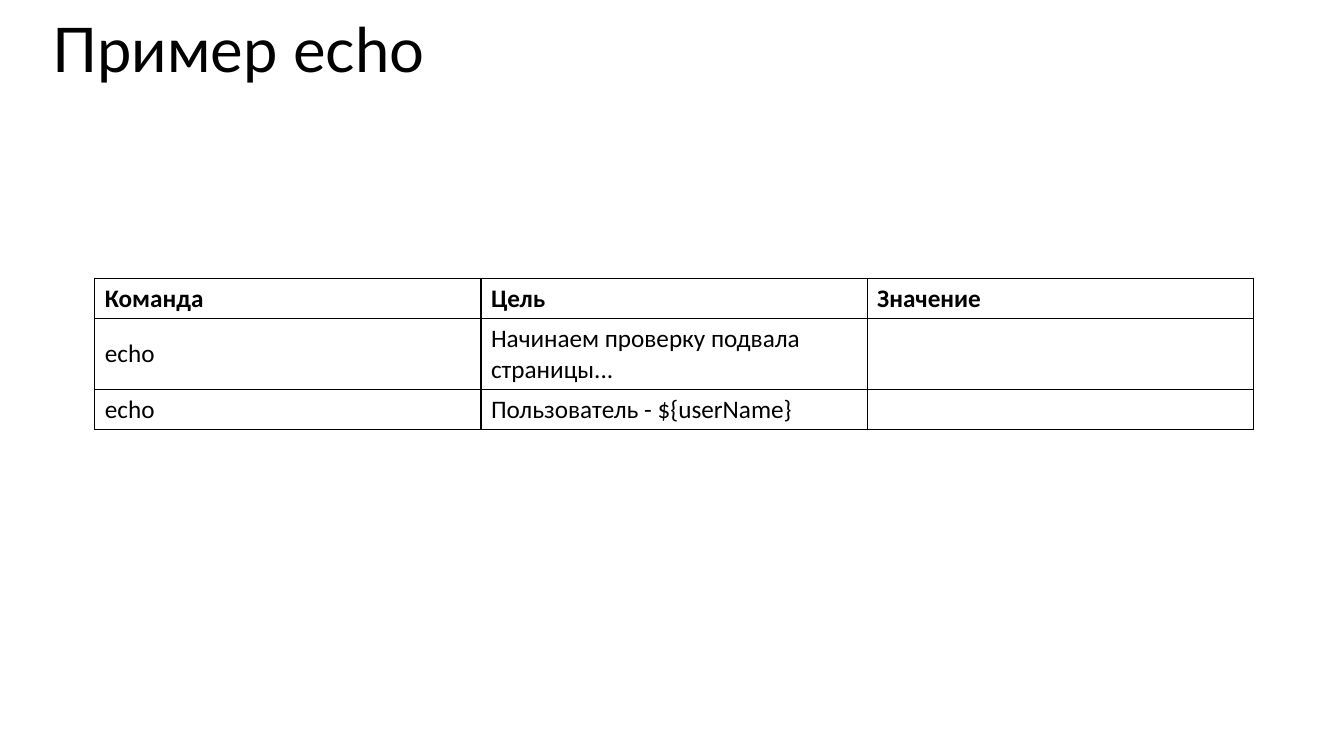
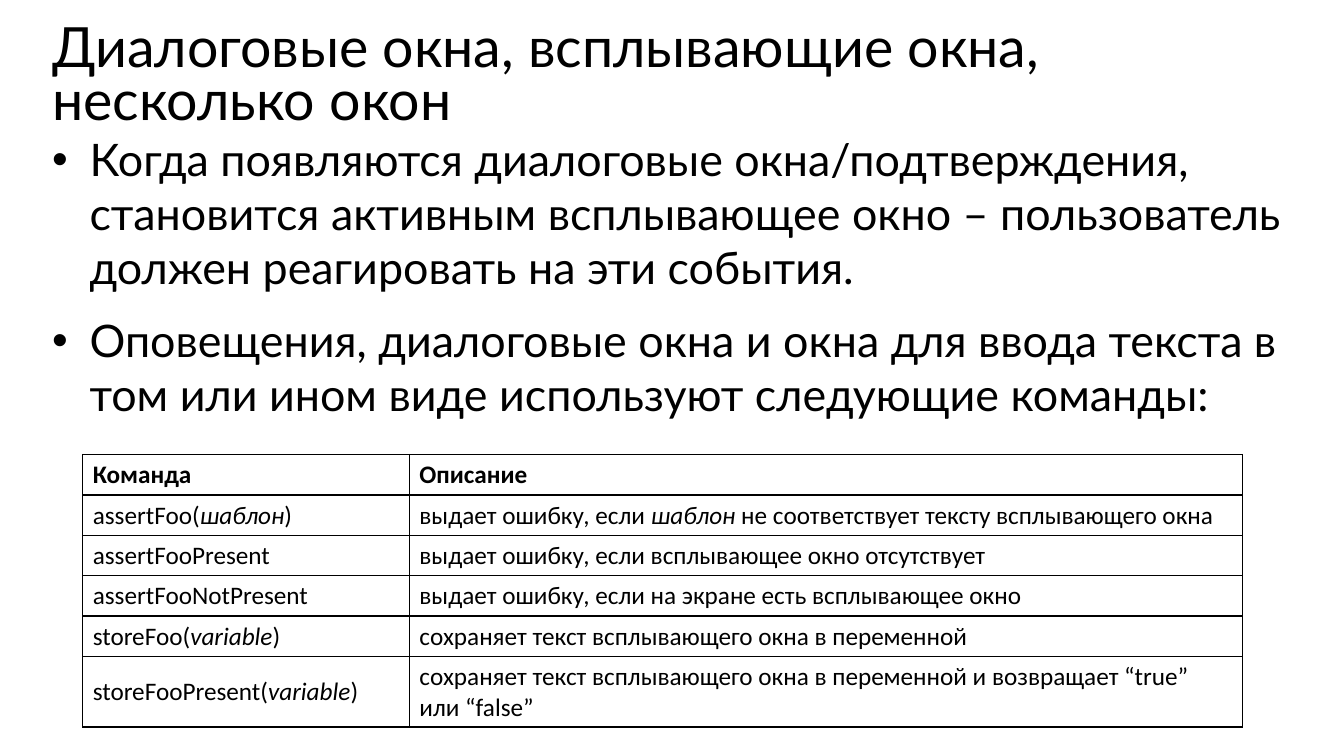
from dataclasses import dataclass

import lxml.etree
import pptx
import pptx.dml.color
import pptx.enum.text
import pptx.oxml.ns
import pptx.util

PX = 9144
COLORS = {"text": "000000", "border": "000000"}
TEXT_FONT = "Lato"
TABLE_FONT = "Calibri"
BULLET_INDENT = 37
ROW_HEIGHT = 40
BORDER_SIDES = ("lnL", "lnR", "lnT", "lnB")


@dataclass(frozen=True)
class Box:
    left: int
    top: int
    width: int
    height: int

    def emu(self) -> tuple[int, ...]:
        return tuple(n * PX for n in (self.left, self.top, self.width, self.height))


@dataclass(frozen=True)
class CommandTable:
    left: int
    top: int
    columns: tuple[int, ...]
    rows: tuple[tuple[str, ...], ...]


@dataclass(frozen=True)
class Topic:
    title: str
    title_size: float
    commands: CommandTable
    points: tuple[str, ...] = ()


TITLE_BOX = Box(42, 20, 1260, 116)
BODY_BOX = Box(42, 126, 1260, 579)

TOPICS = (
    Topic(
        "Пример echo",
        44,
        CommandTable(
            94,
            276,
            (383, 383, 383),
            (
                ("Команда", "Цель", "Значение"),
                ("echo", "Начинаем проверку подвала страницы...", ""),
                ("echo", "Пользователь - ${userName}", ""),
            ),
        ),
    ),
    Topic(
        "Диалоговые окна, всплывающие окна, несколько окон",
        39.6,
        CommandTable(
            82,
            451,
            (324, 826),
            (
                ("Команда", "Описание"),
                (
                    "assertFoo(*шаблон*)",
                    "выдает ошибку, если *шаблон* не соответствует тексту всплывающего окна",
                ),
                ("assertFooPresent", "выдает ошибку, если всплывающее окно отсутствует"),
                ("assertFooNotPresent", "выдает ошибку, если на экране есть всплывающее окно"),
                ("storeFoo(*variable*)", "сохраняет текст всплывающего окна в переменной"),
                (
                    "storeFooPresent(*variable*)",
                    "сохраняет текст всплывающего окна в переменной и возвращает “true” или “false”",
                ),
            ),
        ),
        (
            "Когда появляются диалоговые окна/подтверждения, становится активным "
            "всплывающее окно – пользователь должен реагировать на эти события.",
            "Оповещения, диалоговые окна и окна для ввода текста в том или ином виде "
            "используют следующие команды:",
        ),
    ),
)


def style_font(font, name: str, size: float, bold: bool = False, italic: bool = False) -> None:
    font.name = name
    font.size = pptx.util.Pt(size)
    font.bold = bold
    font.italic = italic
    font.color.rgb = pptx.dml.color.RGBColor.from_string(COLORS["text"])


def add_child(parent, tag: str, **attributes: str):
    return lxml.etree.SubElement(parent, pptx.oxml.ns.qn(tag), attributes)


def add_text_frame(slide, box: Box):
    frame = slide.shapes.add_textbox(*box.emu()).text_frame
    frame.word_wrap = True
    frame.vertical_anchor = pptx.enum.text.MSO_ANCHOR.TOP
    return frame


def add_title(slide, title: str, size: float) -> None:
    frame = add_text_frame(slide, TITLE_BOX)
    frame.text = title
    heading = frame.paragraphs[0]
    heading.line_spacing = 0.8
    style_font(heading.runs[0].font, TEXT_FONT, size)


def add_points(slide, points: tuple[str, ...]) -> None:
    frame = add_text_frame(slide, BODY_BOX)
    frame.text = "\n".join(points)
    for point in frame.paragraphs:
        point.space_before = pptx.util.Pt(14)
        style_font(point.runs[0].font, TEXT_FONT, 32)
        properties = point._p.get_or_add_pPr()
        properties.set("marL", str(BULLET_INDENT * PX))
        properties.set("indent", str(-BULLET_INDENT * PX))
        add_child(properties, "a:buFont", typeface="Arial")
        add_child(properties, "a:buChar", char="•")


def fill_cell(cell, text: str, bold: bool) -> None:
    cell.vertical_anchor = pptx.enum.text.MSO_ANCHOR.MIDDLE
    paragraph = cell.text_frame.paragraphs[0]
    for index, part in enumerate(text.split("*")):
        if part:
            run = paragraph.add_run()
            run.text = part
            style_font(run.font, TABLE_FONT, 18, bold, italic=index % 2 == 1)
    properties = cell._tc.get_or_add_tcPr()
    for side in BORDER_SIDES:
        border = add_child(properties, f"a:{side}", w=str(pptx.util.Pt(1)))
        add_child(add_child(border, "a:solidFill"), "a:srgbClr", val=COLORS["border"])
    cell.fill.background()


def add_commands(slide, commands: CommandTable) -> None:
    box = Box(
        commands.left, commands.top, sum(commands.columns), ROW_HEIGHT * len(commands.rows)
    )
    table = slide.shapes.add_table(
        len(commands.rows), len(commands.columns), *box.emu()
    ).table
    table.first_row = False
    table.horz_banding = False
    for column, width in zip(table.columns, commands.columns):
        column.width = width * PX
    for row_index, row in enumerate(commands.rows):
        for column_index, text in enumerate(row):
            fill_cell(table.cell(row_index, column_index), text, bold=row_index == 0)


def main() -> None:
    deck = pptx.Presentation()
    deck.slide_width = 1333 * PX
    deck.slide_height = 750 * PX
    for topic in TOPICS:
        slide = deck.slides.add_slide(deck.slide_layouts[6])
        add_title(slide, topic.title, topic.title_size)
        if topic.points:
            add_points(slide, topic.points)
        add_commands(slide, topic.commands)
    deck.save("out.pptx")


if __name__ == "__main__":
    main()
